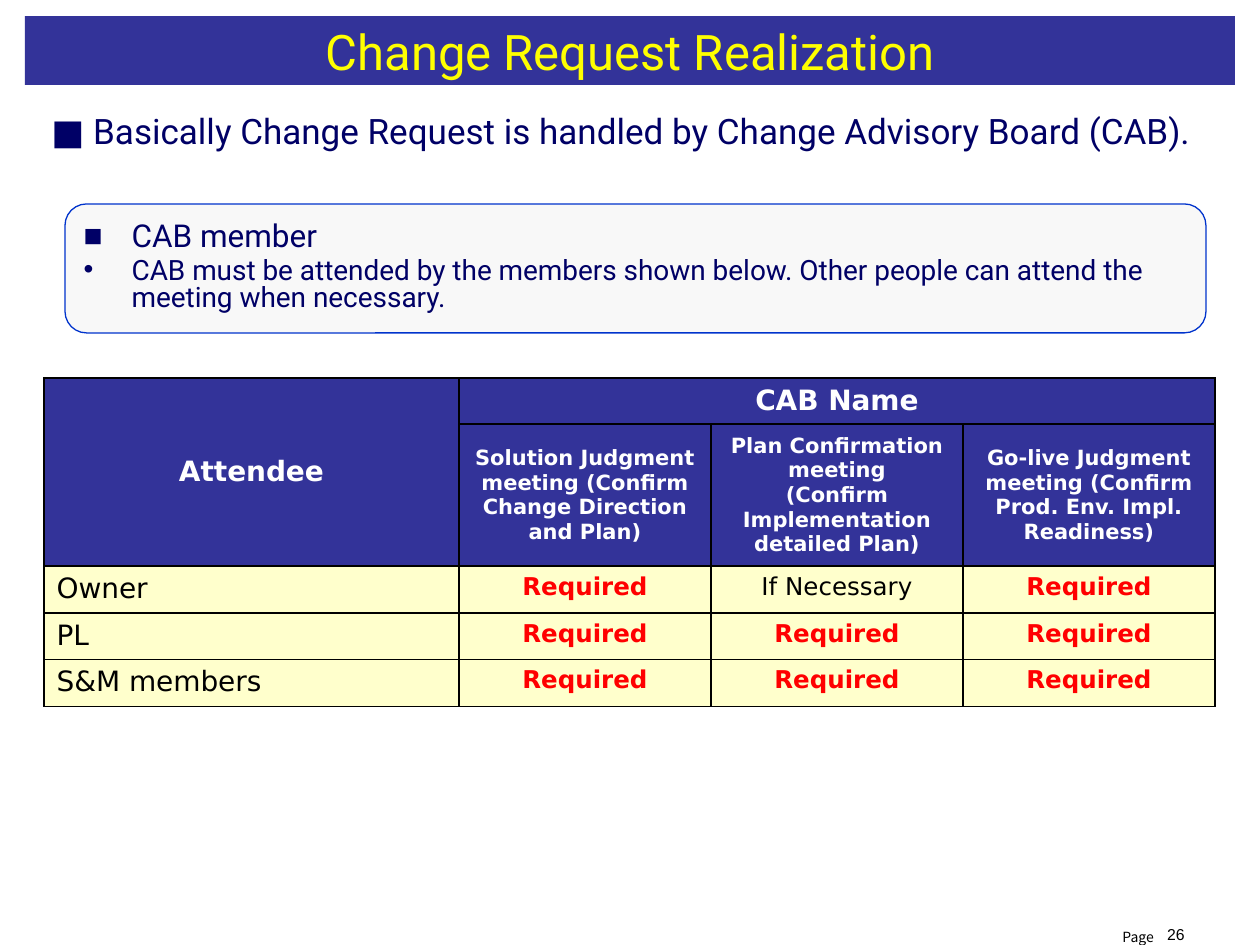
from dataclasses import dataclass

from lxml.etree import SubElement as Sub
from pptx import Presentation
from pptx.dml.color import RGBColor as Rgb
from pptx.enum.shapes import MSO_SHAPE as Kind
from pptx.enum.text import MSO_ANCHOR as Anchor, PP_ALIGN as Align
from pptx.oxml.ns import qn
from pptx.util import Emu, Pt


@dataclass(frozen=True)
class Theme:
    # Colours
    blue: str = "333399"
    navy: str = "000066"
    edge: str = "0033CC"
    pale: str = "F8F8F8"
    cream: str = "FFFFCC"
    yellow: str = "FFFF00"
    red: str = "FF0000"
    white: str = "FFFFFF"
    black: str = "000000"
    # Fonts
    main: str = "Roboto"
    grid: str = "DejaVu Sans"
    foot: str = "Arial"
    page: str = "Noto Sans CJK JP"
    # Type sizes
    title: int = 28
    lead: int = 20
    head: int = 18
    body: int = 16
    mark: int = 14
    note: int = 12
    num: int = 9
    tiny: int = 8


T = Theme()
HANG = 48
COLS = [415, 252, 252, 252]
ROWS = [46, 142, 47, 46, 47]
MEETS = [
    "Solution Judgment meeting (Confirm Change Direction and Plan)",
    "Plan Confirmation meeting\n(Confirm Implementation detailed Plan)",
    "Go-live Judgment meeting (Confirm Prod. Env. Impl. Readiness)",
]
NEED, MAY = "Required", "If Necessary"
BODY = [
    ("Owner", NEED, MAY, NEED),
    ("PL", NEED, NEED, NEED),
    ("S&M members", NEED, NEED, NEED),
]


def px(n):
    return Emu(round(n * 914400 / 126))


def paint(item, hue):
    item.fill.solid()
    item.fill.fore_color.rgb = Rgb.from_string(hue)


def style(para, face, size, hue, bold=False, align=Align.LEFT):
    para.alignment = align
    for run in para.runs:
        font = run.font
        font.name, font.size, font.bold = face, Pt(size), bold
        font.color.rgb = Rgb.from_string(hue)


def hang(para, char=None):
    """Hanging indent with tight lines, and a bullet if one is given."""
    para.line_spacing = 0.8
    prop = para._p.get_or_add_pPr()
    prop.set("marL", str(px(HANG)))
    prop.set("indent", str(-px(HANG)))
    if char:
        Sub(prop, qn("a:buFont"), typeface=T.foot)
        Sub(prop, qn("a:buChar"), char=char)


def add_text(slide, box, text, face, size, hue, align=Align.LEFT, wrap=True):
    frame = slide.shapes.add_textbox(*map(px, box)).text_frame
    frame.word_wrap = wrap
    frame.text = text
    para = frame.paragraphs[0]
    style(para, face, size, hue, align=align)
    return para


def add_panel(slide, kind, box, fill, edge=None):
    shape = slide.shapes.add_shape(kind, *map(px, box))
    shape.shadow.inherit = False
    paint(shape, fill)
    if edge:
        shape.line.color.rgb = Rgb.from_string(edge)
        shape.line.width = Pt(0.75)
    else:
        shape.line.fill.background()
    frame = shape.text_frame
    frame.word_wrap = True
    frame.vertical_anchor = Anchor.MIDDLE
    return frame


def set_cell(cell, text, fill, size, hue, bold=True, align=Align.CENTER,
             anchor=Anchor.MIDDLE):
    cell.text_frame.text = text
    cell.vertical_anchor = anchor
    for para in cell.text_frame.paragraphs:
        style(para, T.grid, size, hue, bold, align)
    paint(cell, fill)


def rule(cell):
    """Black lines on all four sides, placed ahead of the fill."""
    prop = cell._tc.get_or_add_tcPr()
    for i, side in enumerate(("lnL", "lnR", "lnT", "lnB")):
        line = Sub(prop, qn("a:" + side), w=str(Pt(1)))
        Sub(Sub(line, qn("a:solidFill")), qn("a:srgbClr"), val=T.black)
        prop.insert(i, line)


def add_grid(slide, left, top):
    table = slide.shapes.add_table(
        len(ROWS), len(COLS), px(left), px(top),
        px(sum(COLS)), px(sum(ROWS))).table
    for col, width in zip(table.columns, COLS):
        col.width = px(width)
    for row, height in zip(table.rows, ROWS):
        row.height = px(height)

    # Header
    table.cell(0, 0).merge(table.cell(1, 0))
    table.cell(0, 1).merge(table.cell(0, 3))
    set_cell(table.cell(0, 0), "Attendee", T.blue, T.body, T.white)
    set_cell(table.cell(0, 1), "CAB Name", T.blue, T.body, T.white)
    for c, text in enumerate(MEETS, 1):
        set_cell(table.cell(1, c), text, T.blue, T.note, T.white)

    # Attendees
    for r, (name, *marks) in enumerate(BODY, 2):
        set_cell(table.cell(r, 0), name, T.cream, T.body, T.black,
                 False, Align.LEFT, Anchor.TOP)
        for c, mark in enumerate(marks, 1):
            must = mark == NEED
            set_cell(table.cell(r, c), mark, T.cream, T.mark,
                     T.red if must else T.black, must, anchor=Anchor.TOP)
    for cell in table.iter_cells():
        rule(cell)


def main():
    deck = Presentation()
    deck.slide_width, deck.slide_height = px(1260), px(945)
    slide = deck.slides.add_slide(deck.slide_layouts[6])

    # Footer
    add_text(slide, (1126, 919, 71, 26), "26", T.foot, T.num, T.black,
             Align.RIGHT)
    add_text(slide, (1110, 922, 68, 30), "Page", T.page, T.tiny, T.black,
             wrap=False)

    # Title bar
    frame = add_panel(slide, Kind.RECTANGLE, (25, 16, 1210, 69), T.blue)
    frame.text = "Change Request Realization"
    style(frame.paragraphs[0], T.main, T.title, T.yellow, align=Align.CENTER)

    # Member panel
    frame = add_panel(slide, Kind.ROUNDED_RECTANGLE, (65, 204, 1141, 129),
                      T.pale, T.edge)
    frame.text = ("CAB member\nCAB must be attended by the members shown "
                  "below. Other people can attend the meeting when necessary.")
    for para, char, size in zip(frame.paragraphs, "■•", (T.head, T.body)):
        hang(para, char)
        style(para, T.main, size, T.navy)
    frame.paragraphs[1].space_before = Pt(3)

    # Lead line
    hang(add_text(
        slide, (39, 111, 1186, 47),
        "■ Basically Change Request is handled by Change Advisory Board (CAB).",
        T.main, T.lead, T.navy))

    # Attendance table
    add_grid(slide, 44, 378)
    deck.save("out.pptx")


if __name__ == "__main__":
    main()
